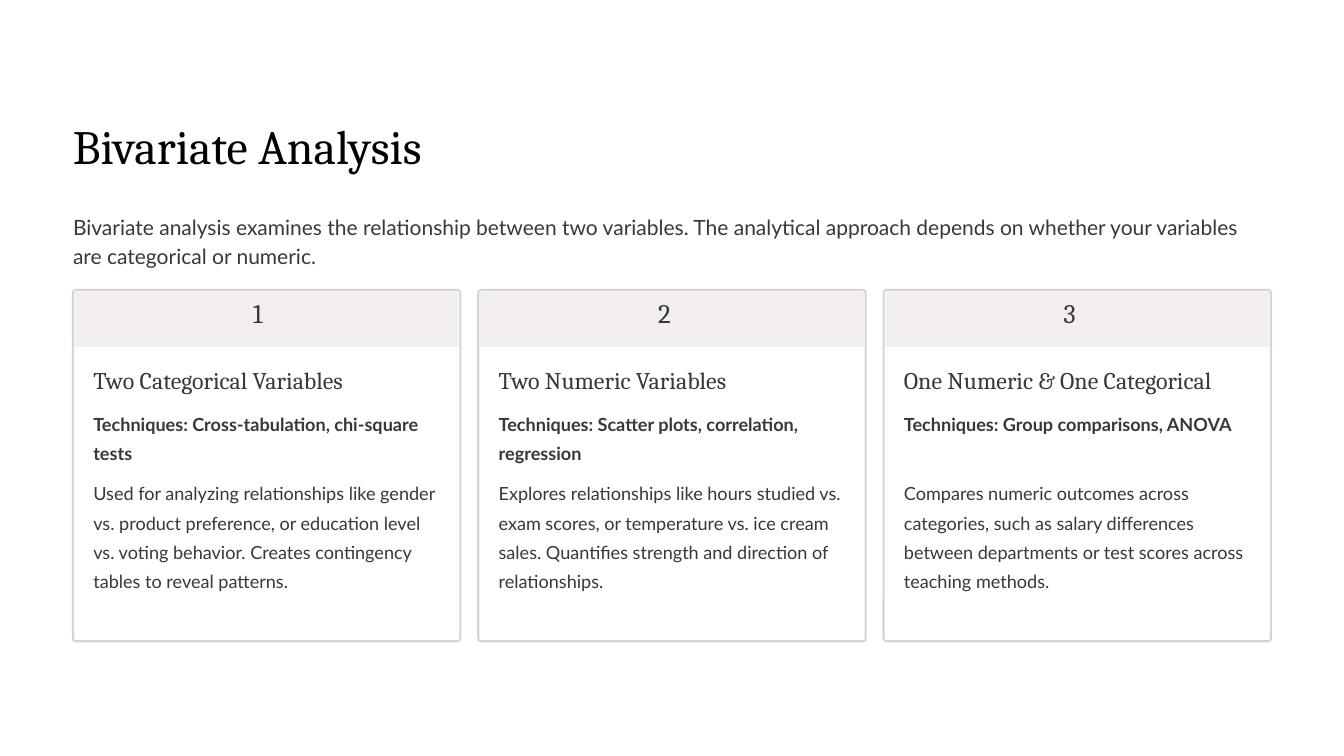
from pptx import Presentation
from pptx.dml.color import RGBColor
from pptx.enum.shapes import MSO_SHAPE
from pptx.util import Pt

TITLE = "Bivariate Analysis"
INTRO = (
    "Bivariate analysis examines the relationship between two variables. "
    "The analytical approach depends on whether your variables are categorical or numeric."
)
CARDS = [
    (
        "Two Categorical Variables",
        "Techniques: Cross-tabulation, chi-square tests",
        "Used for analyzing relationships like gender vs. product preference, or education "
        "level vs. voting behavior. Creates contingency tables to reveal patterns.",
    ),
    (
        "Two Numeric Variables",
        "Techniques: Scatter plots, correlation, regression",
        "Explores relationships like hours studied vs. exam scores, or temperature vs. ice "
        "cream sales. Quantifies strength and direction of relationships.",
    ),
    (
        "One Numeric & One Categorical",
        "Techniques: Group comparisons, ANOVA",
        "Compares numeric outcomes across categories, such as salary differences between "
        "departments or test scores across teaching methods.",
    ),
]
COLORS = {
    "page": "FFFFFF",
    "title": "020202",
    "text": "383838",
    "band": "F2EEEE",
    "border": "D8D4D4",
}
SERIF, SANS = "Cambria", "Lato"

PAGE_WIDTH, PAGE_HEIGHT = 1152, 648
MARGIN = 62.6
CONTENT_WIDTH = PAGE_WIDTH - 2 * MARGIN
CARD_TOP, CARD_WIDTH, CARD_HEIGHT = 248.6, 332, 301
CARD_STEP = (CONTENT_WIDTH - CARD_WIDTH) / (len(CARDS) - 1)
BAND_INSET, BAND_HEIGHT = 1.8, 46.8
PADDING = 17.4
NUMBER_OFFSET = 154.1


def color(name):
    return RGBColor.from_string(COLORS[name])


def add_text(page, text, left, top, width, height, size, font, spacing,
             ink="text", bold=False):
    box = page.shapes.add_textbox(Pt(left), Pt(top), Pt(width), Pt(height))
    frame = box.text_frame
    frame.word_wrap = True
    frame.margin_left = frame.margin_right = frame.margin_top = frame.margin_bottom = 0
    para = frame.paragraphs[0]
    para.line_spacing = Pt(spacing)
    span = para.add_run()
    span.text = text
    span.font.size = Pt(size)
    span.font.name = font
    span.font.bold = bold
    span.font.color.rgb = color(ink)


def add_panel(page, left, top, width, height, fill, rounding, border=None):
    panel = page.shapes.add_shape(
        MSO_SHAPE.ROUNDED_RECTANGLE, Pt(left), Pt(top), Pt(width), Pt(height))
    panel.adjustments[0] = rounding
    panel.shadow.inherit = False
    panel.fill.solid()
    panel.fill.fore_color.rgb = color(fill)
    if border:
        panel.line.color.rgb = color(border)
        panel.line.width = Pt(1.8)
    else:
        panel.line.fill.background()


def add_card(page, number, left, heading, techniques, description):
    add_panel(page, left, CARD_TOP, CARD_WIDTH, CARD_HEIGHT, "page", 0.008, "border")
    add_panel(page, left + BAND_INSET, CARD_TOP + BAND_INSET,
              CARD_WIDTH - 2 * BAND_INSET, BAND_HEIGHT, "band", 0.004)
    add_text(page, str(number), left + NUMBER_OFFSET, 259.2, 23.8, 29.5, 23, SERIF, 23)
    text_left, text_width = left + PADDING, CARD_WIDTH - 2 * PADDING
    add_text(page, heading, text_left, 312.5, text_width, 26, 20.5, SERIF, 25.5)
    add_text(page, techniques, text_left, 347.8, text_width, 50, 15.5, SANS, 25, bold=True)
    add_text(page, description, text_left, 407.5, text_width, 100, 15.5, SANS, 25)


def main():
    deck = Presentation()
    deck.slide_width, deck.slide_height = Pt(PAGE_WIDTH), Pt(PAGE_HEIGHT)
    page = deck.slides.add_slide(deck.slide_layouts[6])
    page.background.fill.solid()
    page.background.fill.fore_color.rgb = color("page")

    add_text(page, TITLE, MARGIN, 98.6, 410, 51, 41, SERIF, 51, ink="title")
    add_text(page, INTRO, MARGIN, 180.7, CONTENT_WIDTH, 50, 18, SANS, 25)
    for index, card in enumerate(CARDS):
        add_card(page, index + 1, MARGIN + index * CARD_STEP, *card)

    deck.save("out.pptx")


if __name__ == "__main__":
    main()
